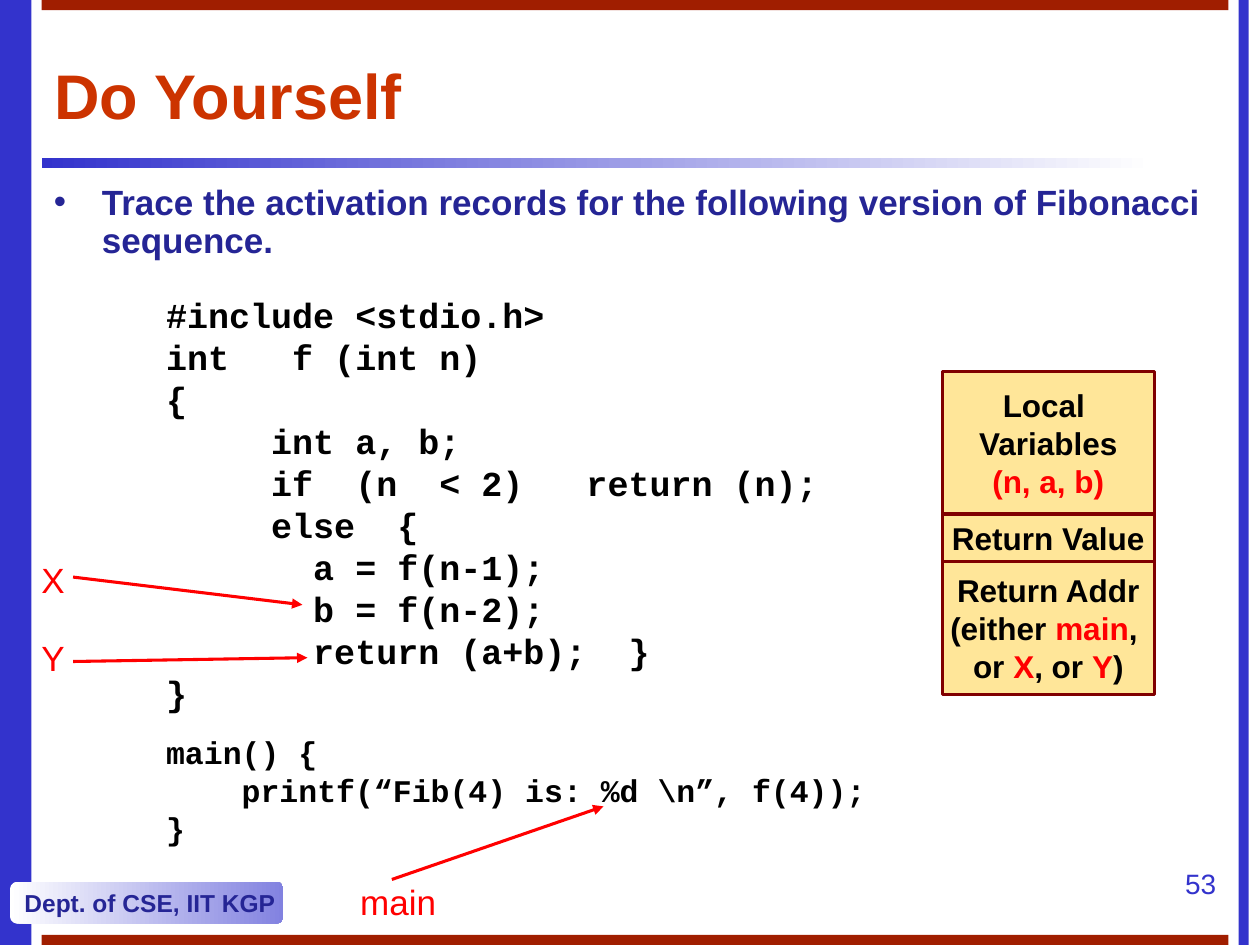
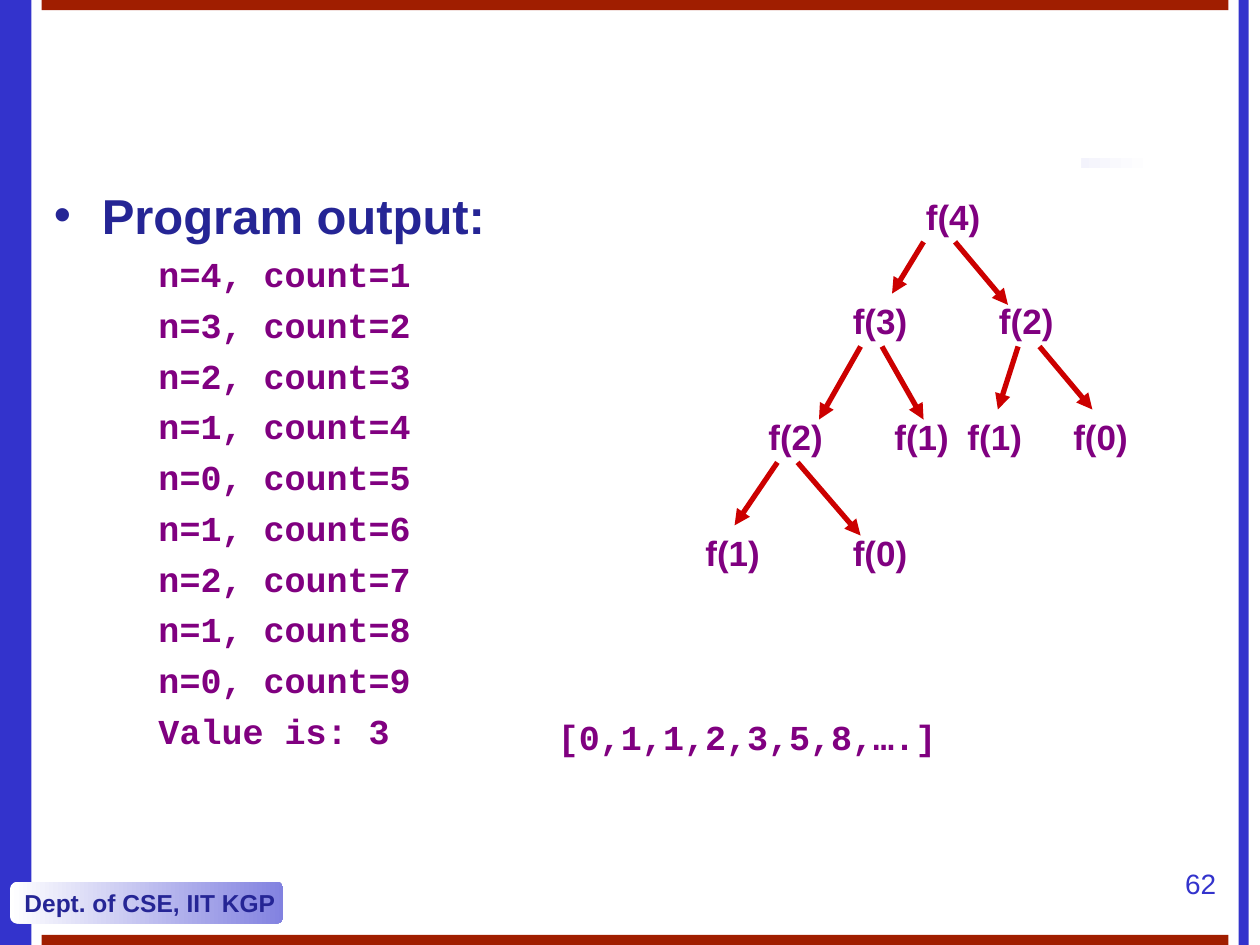
from dataclasses import dataclass

from lxml.etree import SubElement
from pptx import Presentation
from pptx.dml.color import RGBColor
from pptx.enum.shapes import MSO_CONNECTOR, MSO_SHAPE
from pptx.enum.text import MSO_ANCHOR, MSO_AUTO_SIZE, PP_ALIGN
from pptx.oxml.ns import qn
from pptx.shapes.autoshape import Shape
from pptx.slide import Slide
from pptx.text.text import TextFrame
from pptx.util import Inches, Pt

COLORS = {
    "blue": "3333CC", "navy": "252595", "brick": "A01E00", "title": "CC3300",
    "lilac": "8282E0", "white": "FFFFFF", "black": "000000", "red": "FF0000",
    "cream": "FFE699", "maroon": "800000", "purple": "800080", "arrow": "CC0000",
}
SANS, MONO = "Arial", "Courier New"
TITLE_ONLY, BLANK = 5, 6


@dataclass(frozen=True)
class Box:
    left: float
    top: float
    width: float
    height: float

    def lengths(self) -> list[int]:
        return [Inches(v) for v in (self.left, self.top, self.width, self.height)]


@dataclass(frozen=True)
class Style:
    size: float
    color: str
    bold: bool = True
    font: str = SANS
    align: PP_ALIGN = PP_ALIGN.LEFT


@dataclass(frozen=True)
class Arrow:
    x1: float
    y1: float
    x2: float
    y2: float


@dataclass(frozen=True)
class Label:
    text: str
    left: float
    top: float
    width: float = 0.75


TITLE = Style(36, "title")
FOOTER = Style(14, "navy")
NUMBER = Style(16, "blue", bold=False, align=PP_ALIGN.RIGHT)
PROMPT = Style(20, "navy")
HEADING = Style(28, "navy")
CODE = Style(20, "black", font=MONO)
MAIN_CODE = Style(18, "black", font=MONO)
OUTPUT = Style(20, "purple", font=MONO)
RECORD = Style(18, "black", align=PP_ALIGN.CENTER)
POINTER = Style(20, "red", bold=False)
CALL = Style(20, "purple")


def rgb(name: str) -> RGBColor:
    return RGBColor.from_string(COLORS[name])


# Text helpers
def write(tf: TextFrame, lines: list[str], style: Style, start: int = 0) -> None:
    """Write lines from paragraph number start; parts between asterisks are red."""
    for i, line in enumerate(lines, start):
        p = tf.paragraphs[0] if i == 0 else tf.add_paragraph()
        p.alignment = style.align
        for j, part in enumerate(line.split("*")):
            if not part:
                continue
            r = p.add_run()
            r.text = part
            r.font.name, r.font.size, r.font.bold = style.font, Pt(style.size), style.bold
            r.font.color.rgb = rgb("red" if j % 2 else style.color)


def add_text(s: Slide, box: Box, lines: list[str], style: Style) -> TextFrame:
    tf = s.shapes.add_textbox(*box.lengths()).text_frame
    tf.word_wrap = True
    write(tf, lines, style)
    return tf


def add_bullet(tf: TextFrame) -> None:
    pPr = tf.paragraphs[0]._p.get_or_add_pPr()
    pPr.set("marL", str(Inches(0.38)))
    pPr.set("indent", str(-Inches(0.38)))
    color = SubElement(pPr, qn("a:buClr"))
    SubElement(color, qn("a:srgbClr"), val=COLORS["navy"])
    SubElement(pPr, qn("a:buFont"), typeface=SANS)
    SubElement(pPr, qn("a:buChar"), char="•")


# Shape helpers
def add_panel(s: Slide, box: Box, fill: str, fade_to: str = "",
              kind: MSO_SHAPE = MSO_SHAPE.RECTANGLE) -> Shape:
    sp = s.shapes.add_shape(kind, *box.lengths())
    sp.shadow.inherit = False
    sp.line.fill.background()
    if fade_to:
        sp.fill.gradient()
        sp.fill.gradient_angle = 0
        for stop, name in zip(sp.fill.gradient_stops, (fill, fade_to)):
            stop.color.rgb = rgb(name)
    else:
        sp.fill.solid()
        sp.fill.fore_color.rgb = rgb(fill)
    return sp


def write_in_panel(sp: Shape, lines: list[str], style: Style) -> None:
    tf = sp.text_frame
    tf.word_wrap = False
    tf.vertical_anchor = MSO_ANCHOR.MIDDLE
    tf.margin_left = tf.margin_right = Inches(0.1)
    tf.margin_top = tf.margin_bottom = Inches(0.05)
    write(tf, lines, style)


def add_arrow(s: Slide, arrow: Arrow, color: str, width: float) -> None:
    ends = [Inches(v) for v in (arrow.x1, arrow.y1, arrow.x2, arrow.y2)]
    c = s.shapes.add_connector(MSO_CONNECTOR.STRAIGHT, *ends)
    c.line.color.rgb = rgb(color)
    c.line.width = Pt(width)
    SubElement(c.line._get_or_add_ln(), qn("a:tailEnd"), type="triangle")
    SubElement(c._element.spPr, qn("a:effectLst"))


def add_labels(s: Slide, labels: list[Label], style: Style) -> None:
    for label in labels:
        add_text(s, Box(label.left, label.top, label.width, 0.44), [label.text], style)


# Frame shared by all slides
def add_slide(prs: Presentation, layout: int, number: int) -> Slide:
    s = prs.slides.add_slide(prs.slide_layouts[layout])
    for left, width in ((0, 0.25), (9.83, 0.08)):
        add_panel(s, Box(left, 0, width, 7.5), "blue")
    for top in (0, 7.42):
        add_panel(s, Box(0.33, top, 9.42, 0.08), "brick")
    add_panel(s, Box(0.33, 1.25, 8.83, 0.08), "blue", "white")
    badge = add_panel(s, Box(0.08, 7, 2.17, 0.33), "white", "lilac",
                      MSO_SHAPE.ROUNDED_RECTANGLE)
    write_in_panel(badge, ["Dept. of CSE, IIT KGP"], FOOTER)
    add_text(s, Box(9.17, 6.83, 0.58, 0.5), [str(number)], NUMBER)
    return s


def set_title(s: Slide, text: str) -> None:
    sp = s.shapes.title
    sp.left, sp.top, sp.width, sp.height = Box(0.33, 0.33, 9.42, 0.83).lengths()
    tf = sp.text_frame
    tf.auto_size = MSO_AUTO_SIZE.NONE
    tf.vertical_anchor = MSO_ANCHOR.MIDDLE
    write(tf, [text], TITLE)


# Slide: exercise
def build_exercise(prs: Presentation) -> None:
    s = add_slide(prs, TITLE_ONLY, 53)
    set_title(s, "Do Yourself")
    tf = add_text(s, Box(0.33, 1.42, 9.42, 0.92), [
        "Trace the activation records for the following version of Fibonacci sequence."],
        PROMPT)
    add_bullet(tf)
    tf.paragraphs[0].line_spacing = 0.9

    # Program listing
    function = [
        "#include <stdio.h>",
        "int   f (int n)",
        "{",
        "     int a, b;",
        "     if  (n  < 2)   return (n);",
        "     else  {",
        "       a = f(n-1);",
        "       b = f(n-2);",
        "       return (a+b);  }",
        "}",
    ]
    main = ["main() {", "    printf(“Fib(4) is: %d \\n”, f(4));", "}"]
    tf = add_text(s, Box(1.22, 2.28, 5.84, 4.5), function, CODE)
    write(tf, main, MAIN_CODE, start=len(function))
    tf.paragraphs[len(function)].space_before = Pt(11.3)

    # Activation record, stacked from the top
    top = 2.95
    for height, lines in (
        (1.13, ["Local ", "Variables", "*(n, a, b)*"]),
        (0.38, ["Return Value"]),
        (1.05, ["Return Addr", "(either *main*, ", "or *X*, or *Y*)"]),
    ):
        sp = add_panel(s, Box(7.48, top, 1.68, height), "cream")
        sp.line.color.rgb = rgb("maroon")
        sp.line.width = Pt(1.75)
        write_in_panel(sp, lines, RECORD)
        top += height

    # Return addresses
    add_labels(s, [Label("X", 0.23, 4.38, 0.44), Label("Y", 0.23, 5, 0.44),
                   Label("main", 2.76, 6.94, 0.84)], POINTER)
    for arrow in (Arrow(0.58, 4.58, 2.4, 4.8), Arrow(0.58, 5.25, 2.44, 5.22),
                  Arrow(3.11, 6.98, 4.79, 6.4)):
        add_arrow(s, arrow, "red", 1.75)


# Slide: program output and call tree
def build_output(prs: Presentation) -> None:
    s = add_slide(prs, BLANK, 62)
    add_panel(s, Box(0.33, 1.08, 8.25, 0.37), "white")
    tf = add_text(s, Box(0.33, 1.42, 5, 5.5), ["Program output:"], HEADING)
    add_bullet(tf)
    calls = [4, 3, 2, 1, 0, 1, 2, 1, 0]
    trace = [f"n={n}, count={count}" for count, n in enumerate(calls, 1)]
    write(tf, trace + ["Value is: 3"], OUTPUT, start=1)
    for p in tf.paragraphs[1:]:
        p._p.get_or_add_pPr().set("marL", str(Inches(0.83)))
        p.space_before = Pt(5)
    add_text(s, Box(4.33, 5.63, 3.4, 0.44), ["[0,1,1,2,3,5,8,….]"], OUTPUT)

    # Calls by depth: row top, then (argument, left)
    rows = [
        (1.5, [(4, 7.25)]),
        (2.33, [(3, 6.67), (2, 7.83)]),
        (3.25, [(2, 6), (1, 7), (1, 7.58), (0, 8.42)]),
        (4.17, [(1, 5.5), (0, 6.67)]),
    ]
    for top, row in rows:
        add_labels(s, [Label(f"f({n})", left, top) for n, left in row], CALL)

    # Arrows below each row: start x, end x, end y
    branches = [
        [(7.33, 7.08, 2.33), (7.58, 8, 2.42)],
        [(6.83, 6.5, 3.33), (7, 7.33, 3.33), (8.08, 7.92, 3.25), (8.25, 8.67, 3.25)],
        [(6.17, 5.83, 4.17), (6.33, 6.83, 4.25)],
    ]
    for (top, _), arrows in zip(rows, branches):
        for x1, x2, y2 in arrows:
            add_arrow(s, Arrow(x1, top + 0.42, x2, y2), "arrow", 3)


def main() -> None:
    prs = Presentation()
    prs.slide_width, prs.slide_height = Inches(10), Inches(7.5)
    build_exercise(prs)
    build_output(prs)
    prs.save("out.pptx")


if __name__ == "__main__":
    main()
